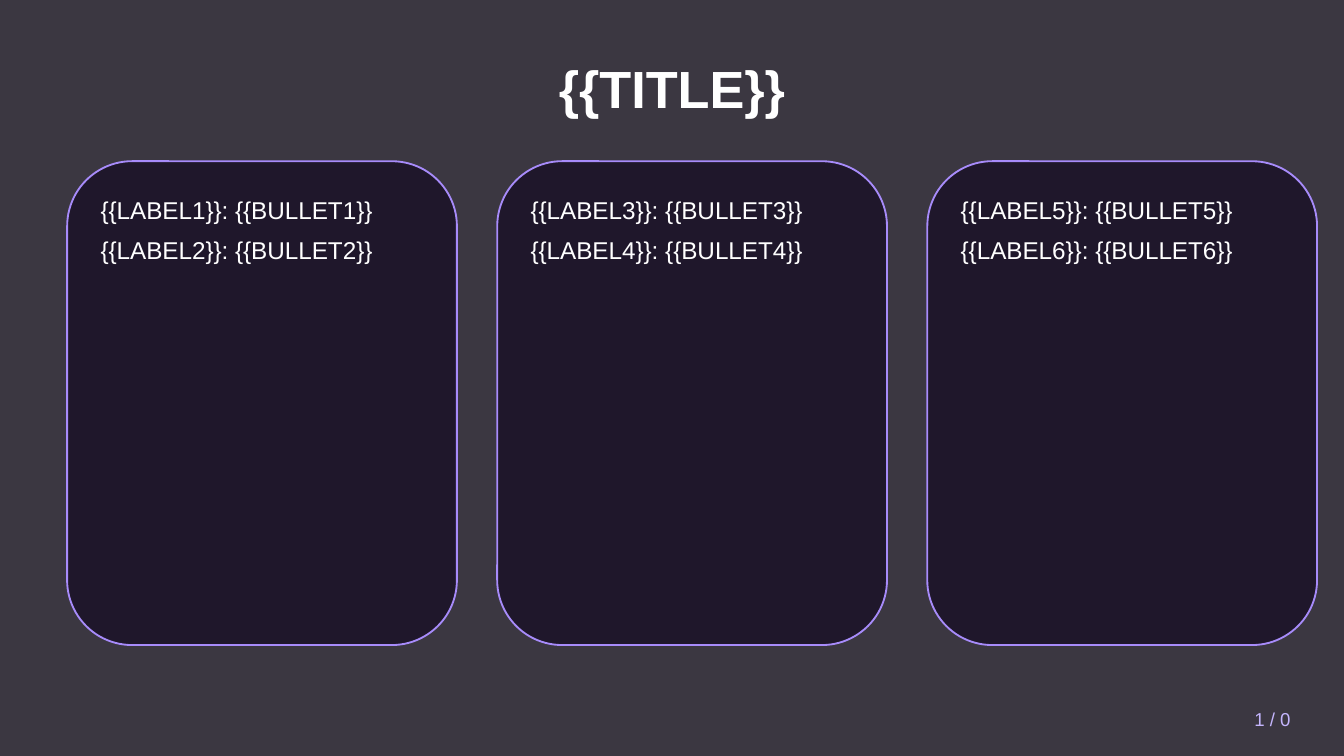
"""Build a dark title slide with three translucent cards of labelled bullets."""
from dataclasses import dataclass

from lxml.etree import SubElement
from pptx import Presentation
from pptx.dml.color import RGBColor
from pptx.enum.shapes import MSO_SHAPE as Shape
from pptx.enum.text import MSO_ANCHOR as Anchor, PP_ALIGN as Align
from pptx.oxml.ns import qn
from pptx.util import Emu, Pt

EMU_PER_PX = 4572


@dataclass(frozen=True)
class Theme:
    font: str = "Arial"
    backdrop: str = "0A0612"
    card: str = "140A23"
    border: str = "A78BFA"
    text: str = "FFFFFF"
    page: str = "C4B5FD"
    title_size: int = 28
    body_size: int = 13
    page_size: int = 10


@dataclass(frozen=True)
class Box:
    x: int
    y: int
    w: int
    h: int

    def emu(self) -> tuple[Emu, ...]:
        return tuple(Emu(v * EMU_PER_PX) for v in (self.x, self.y, self.w, self.h))


@dataclass(frozen=True)
class Card:
    box: Box
    lines: tuple[str, ...]


THEME = Theme()
SLIDE = Box(0, 0, 2000, 1125)
TITLE = Box(100, 60, 1800, 140)
PAGE = Box(1700, 1040, 240, 60)
CARD_PITCH = 640
PAD_X, PAD_Y = 30, 40
CARDS = [
    Card(
        Box(100 + i * CARD_PITCH, 240, 580, 720),
        tuple(f"{{{{LABEL{n}}}}}: {{{{BULLET{n}}}}}" for n in (2 * i + 1, 2 * i + 2)),
    )
    for i in range(3)
]


def add_panel(s, kind: Shape, box: Box, color: str, opacity: int, border: str | None = None) -> None:
    sp = s.shapes.add_shape(kind, *box.emu())
    sp.shadow.inherit = False
    sp.fill.solid()
    sp.fill.fore_color.rgb = RGBColor.from_string(color)
    clr = sp.element.spPr.find(qn("a:solidFill")).find(qn("a:srgbClr"))
    SubElement(clr, qn("a:alpha"), val=str(opacity * 1000))
    if border:
        sp.line.color.rgb = RGBColor.from_string(border)
        sp.line.width = Pt(1)
    else:
        sp.line.fill.background()


def add_text(s, box: Box, *lines: str, size: int, color: str = THEME.text, bold: bool = False,
             align: Align = Align.LEFT, anchor: Anchor = Anchor.TOP, after: int = 0) -> None:
    tf = s.shapes.add_textbox(*box.emu()).text_frame
    tf.word_wrap = True
    tf.vertical_anchor = anchor
    for i, line in enumerate(lines):
        p = tf.add_paragraph() if i else tf.paragraphs[0]
        p.alignment = align
        p.space_after = Pt(after)
        r = p.add_run()
        r.text = line
        r.font.name = THEME.font
        r.font.size = Pt(size)
        r.font.bold = bold
        r.font.color.rgb = RGBColor.from_string(color)


def add_card(s, card: Card) -> None:
    b = card.box
    add_panel(s, Shape.ROUNDED_RECTANGLE, b, THEME.card, 70, THEME.border)
    inner = Box(b.x + PAD_X, b.y + PAD_Y, b.w - 2 * PAD_X, b.h - 2 * PAD_Y)
    add_text(s, inner, *card.lines, size=THEME.body_size, after=6)


def main() -> None:
    prs = Presentation()
    _, _, prs.slide_width, prs.slide_height = SLIDE.emu()
    s = prs.slides.add_slide(prs.slide_layouts[6])
    add_panel(s, Shape.RECTANGLE, SLIDE, THEME.backdrop, 80)
    add_text(s, TITLE, "{{TITLE}}", size=THEME.title_size, bold=True,
             align=Align.CENTER, anchor=Anchor.MIDDLE)
    for card in CARDS:
        add_card(s, card)
    add_text(s, PAGE, "1 / 0", size=THEME.page_size, color=THEME.page,
             align=Align.RIGHT, anchor=Anchor.MIDDLE)
    prs.save("out.pptx")


if __name__ == "__main__":
    main()
